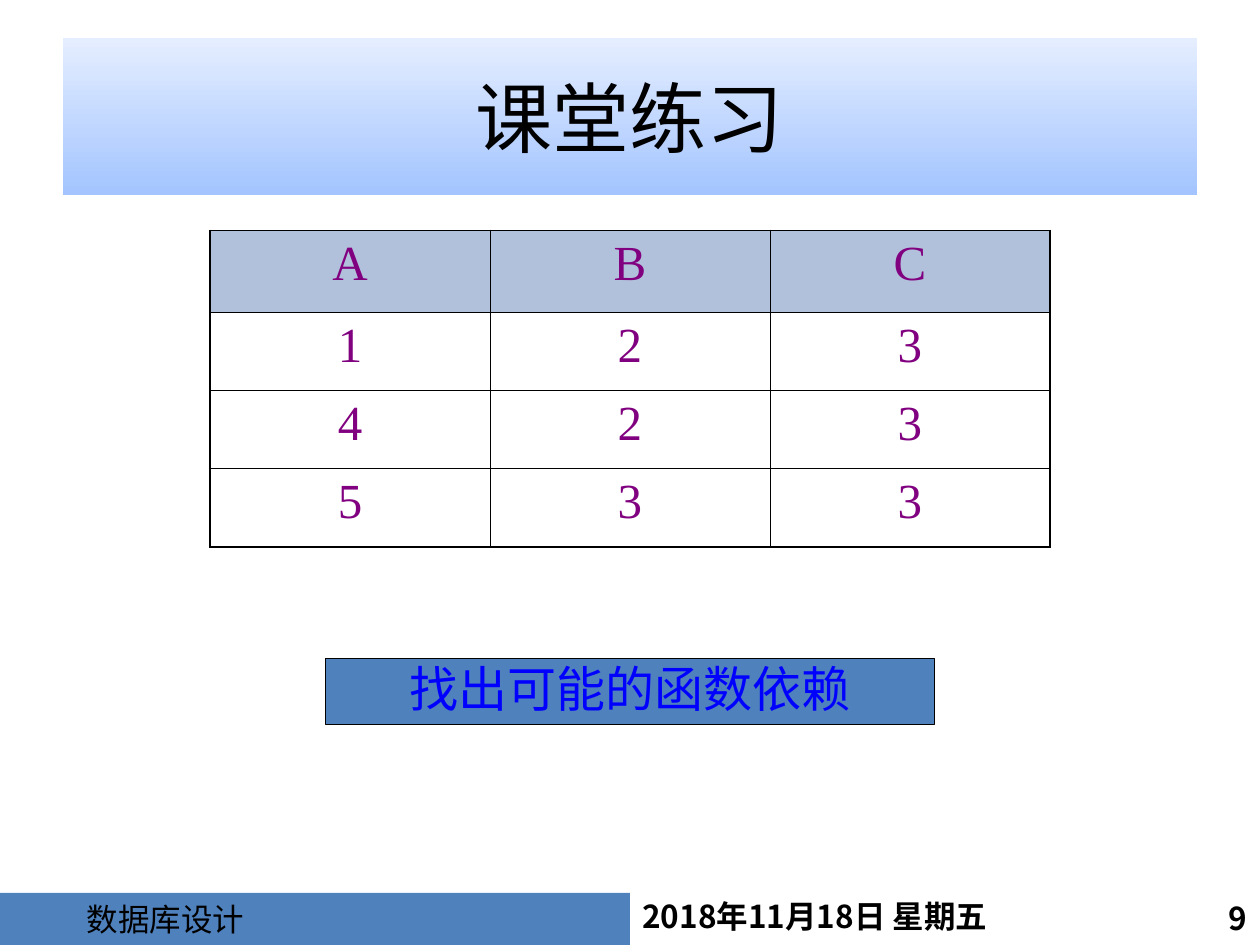
import pptx
import pptx.dml.color
import pptx.enum.shapes
import pptx.enum.text
import pptx.oxml
import pptx.oxml.ns
import pptx.util
from lxml import etree

ALIGN = pptx.enum.text.PP_ALIGN
ANCHOR = pptx.enum.text.MSO_ANCHOR
RECTANGLE = pptx.enum.shapes.MSO_SHAPE.RECTANGLE
qn = pptx.oxml.ns.qn


def rgb(value):
    return pptx.dml.color.RGBColor.from_string(value)


def write(frame, text, size, typeface, color, align=ALIGN.LEFT, bold=False):
    """Fill a text frame with one formatted paragraph."""
    frame.text = text
    paragraph = frame.paragraphs[0]
    paragraph.alignment = align
    font = paragraph.runs[0].font
    font.size = pptx.util.Pt(size)
    font.name = typeface
    font.bold = bold
    font.color.rgb = rgb(color)
    if typeface.startswith("Noto"):
        etree.SubElement(font._element, qn("a:ea"), typeface=typeface)


presentation = pptx.Presentation()
presentation.slide_width = pptx.util.Inches(10)
presentation.slide_height = pptx.util.Inches(7.5)
W, H = presentation.slide_width, presentation.slide_height
slide = presentation.slides.add_slide(presentation.slide_layouts[5])
shapes = slide.shapes

# Footer: course band, date and page number
footer_top = int(H * 0.945)
footer_height = H - footer_top
course = shapes.add_shape(RECTANGLE, 0, footer_top, W // 2, footer_height)
course.shadow.inherit = False
course.fill.solid()
course.fill.fore_color.rgb = rgb("4F81BD")
course.line.fill.background()
course.text_frame.margin_left = pptx.util.Inches(0.69)
course.text_frame.vertical_anchor = ANCHOR.MIDDLE
write(course.text_frame, "数据库设计", 18, "Noto Sans CJK JP", "000000")

for text, left, top, width, align in (
    ("2018年11月18日 星期五", 0.5, 0.943, 0.355, ALIGN.LEFT),
    ("9", 0.87, 0.945, 0.13, ALIGN.RIGHT),
):
    note = shapes.add_textbox(int(W * left), int(H * top), int(W * width), footer_height)
    note.text_frame.word_wrap = True
    write(note.text_frame, text, 18, "Noto Sans CJK SC", "000000", align, bold=True)

# Relation to examine: thin inner rules, thicker outer frame
relation = (("A", "B", "C"), ("1", "2", "3"), ("4", "2", "3"), ("5", "3", "3"))
row_count, column_count = len(relation), len(relation[0])
table = shapes.add_table(
    row_count, column_count, W // 6, int(H * 0.244), W * 2 // 3, pptx.util.Inches(2.5)
).table
for r, values in enumerate(relation):
    table.rows[r].height = pptx.util.Inches(0.65 if r == 0 else 0.62)
    for c, value in enumerate(values):
        cell = table.cell(r, c)
        write(cell.text_frame, value, 28, "Times New Roman", "800080", ALIGN.CENTER)
        on_frame = {
            "a:lnL": c == 0,
            "a:lnR": c == column_count - 1,
            "a:lnT": r == 0,
            "a:lnB": r == row_count - 1,
        }
        for side, outer in on_frame.items():
            width = pptx.util.Pt(1.08 if outer else 0.45)
            border = etree.SubElement(cell._tc.get_or_add_tcPr(), qn(side), w=str(width))
            paint = etree.SubElement(border, qn("a:solidFill"))
            etree.SubElement(paint, qn("a:srgbClr"), val="000000")
        if r == 0:
            cell.fill.solid()
            cell.fill.fore_color.rgb = rgb("B2C1DB")
        else:
            cell.fill.background()

# Title on a gradient panel
title = shapes.title
title.left, title.top = int(W * 0.05), int(H * 0.04)
title.width, title.height = int(W * 0.9), H // 6
title.fill.gradient()
title.fill.gradient_angle = 90
for stop, color in zip(title.fill.gradient_stops, ("A3C4FF", "E5EEFF")):
    stop.color.rgb = rgb(color)
title.text_frame.vertical_anchor = ANCHOR.MIDDLE
write(title.text_frame, "课堂练习", 44, "Noto Sans CJK SC", "000000", ALIGN.CENTER)

# Exercise
task_width = int(W * 0.483)
task = shapes.add_shape(
    RECTANGLE, (W - task_width) // 2, int(H * 0.697), task_width, pptx.util.Inches(0.52)
)
task.shadow.inherit = False
task.fill.solid()
task.fill.fore_color.rgb = rgb("4F81BD")
task.line.color.rgb = rgb("000000")
task.line.width = pptx.util.Pt(0.75)
task.text_frame.vertical_anchor = ANCHOR.MIDDLE
write(task.text_frame, "找出可能的函数依赖", 28, "Times New Roman", "0000FF", ALIGN.CENTER)
task.text_frame.paragraphs[0].line_spacing = 0.9

presentation.save("out.pptx")
